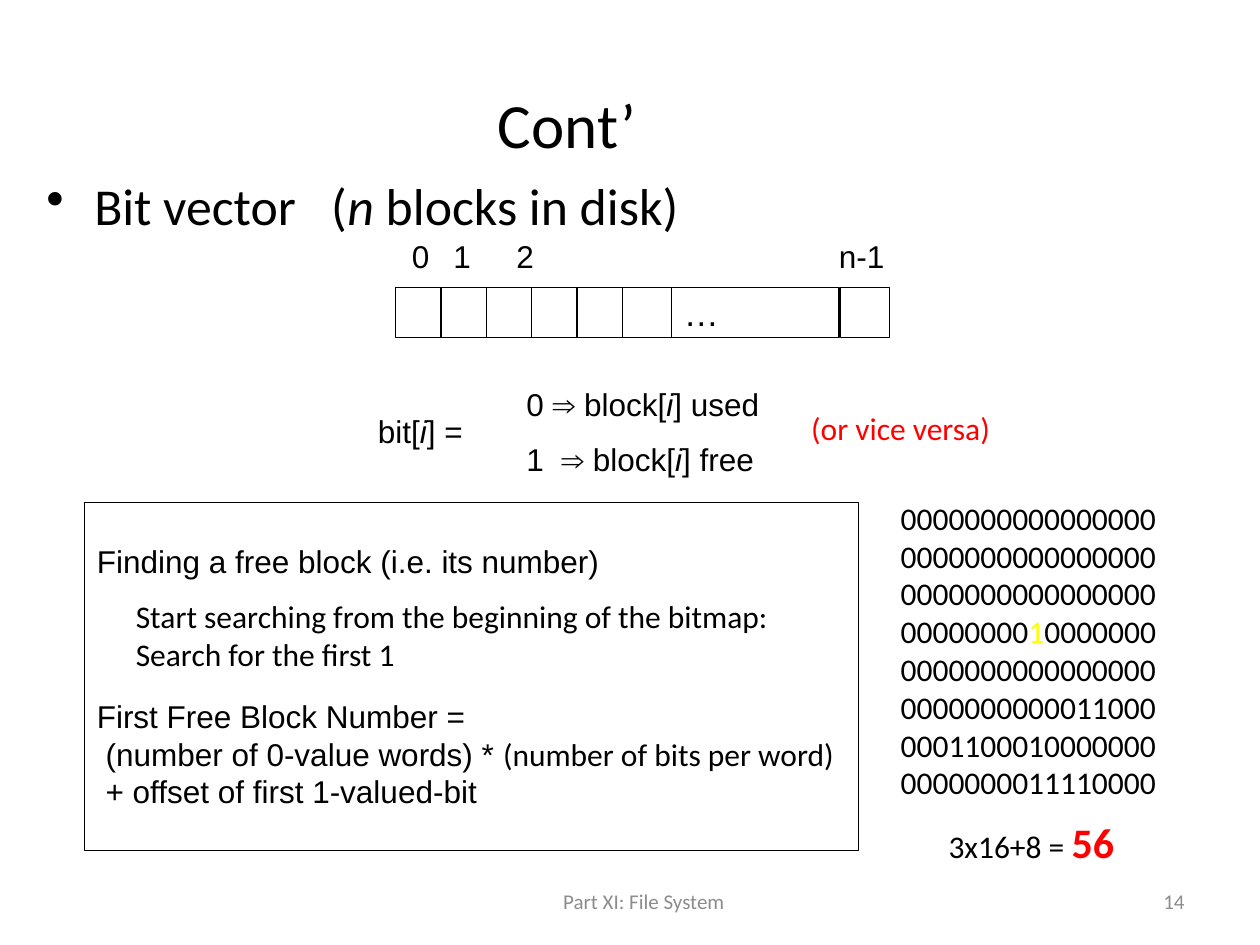
from lxml import etree
from pptx import Presentation
from pptx.dml.color import RGBColor
from pptx.enum.shapes import MSO_SHAPE
from pptx.enum.text import MSO_ANCHOR, MSO_AUTO_SIZE, PP_ALIGN
from pptx.oxml.ns import qn
from pptx.util import Inches, Pt

RECT = MSO_SHAPE.RECTANGLE
TOP, MID, LOW = MSO_ANCHOR.TOP, MSO_ANCHOR.MIDDLE, MSO_ANCHOR.BOTTOM
FIT = MSO_AUTO_SIZE.SHAPE_TO_FIT_TEXT
LEFT, MIDDLE, RIGHT = PP_ALIGN.LEFT, PP_ALIGN.CENTER, PP_ALIGN.RIGHT
COLORS = {"ink": "000000", "paper": "FFFFFF", "gray": "8C8C8C",
          "red": "FF0000", "mark": "FFFF00"}
ITAL = {"italic": True}
WORDS = ["0000000000000000"] * 3 + [
    ["00000000", ("1", {"color": "mark"}), "0000000"],
    "0000000000000000", "0000000000011000",
    "0001100010000000", "0000000011110000"]


def rgb(name):
    """Return the named colour."""
    return RGBColor.from_string(COLORS[name])


def style(font, name=None, size=None, color=None, bold=None, italic=None):
    """Set the given traits of a font."""
    if name:
        font.name = name
    if size:
        font.size = Pt(size)
    if color:
        font.color.rgb = rgb(color)
    if bold:
        font.bold = True
    if italic:
        font.italic = True


def write(frame, paras, name="Calibri", size=18, color="ink", align=LEFT,
          anchor=TOP, gap=0):
    """Fill a text frame; a paragraph is a string or a list of runs."""
    frame.vertical_anchor = anchor
    for i, runs in enumerate(paras):
        para = frame.paragraphs[0] if i == 0 else frame.add_paragraph()
        para.alignment = align
        para.space_before = Pt(gap if i else 0)
        style(para.font, name, size, color)
        for part in [runs] if isinstance(runs, str) else runs:
            text, look = (part, {}) if isinstance(part, str) else part
            run = para.add_run()
            run.text = text
            style(run.font, **look)


def label(slide, box, paras, wrap=False, **look):
    """Add a text box."""
    frame = slide.shapes.add_textbox(*map(Inches, box)).text_frame
    frame.word_wrap = wrap
    if not wrap:
        frame.auto_size = FIT
    write(frame, paras, **look)
    return frame


def block(slide, box, fill="paper", width=0.75):
    """Add an outlined rectangle."""
    shape = slide.shapes.add_shape(RECT, *map(Inches, box))
    shape.shadow.inherit = False
    if fill:
        shape.fill.solid()
        shape.fill.fore_color.rgb = rgb(fill)
    else:
        shape.fill.background()
    shape.line.color.rgb = rgb("ink")
    shape.line.width = Pt(width)
    return shape


def bullet(para):
    """Give a paragraph a hanging bullet."""
    props = para._p.get_or_add_pPr()
    props.set("marL", str(Inches(0.38)))
    props.set("indent", str(Inches(-0.38)))
    mark = etree.Element(qn("a:buChar"), char="•")
    props.find(qn("a:defRPr")).addprevious(mark)


def head(slide):
    """Place the title and the bullet line."""
    title = slide.shapes.title
    title.left, title.top, title.width, title.height = map(
        Inches, (0, 0.31, 9, 1.02))
    write(title.text_frame, ["Cont’"], size=36, align=MIDDLE, anchor=LOW)
    frame = label(slide, (0.27, 1.33, 9.26, 0.57),
                  [["Bit vector   (", ("n", ITAL), " blocks in disk)"]],
                  wrap=True, size=29.6)
    bullet(frame.paragraphs[0])


def vector(slide):
    """Draw the bit cells and their indexes."""
    for i in range(6):
        block(slide, (3.14 + 0.36 * i, 2.28, 0.39, 0.4))
    rest = block(slide, (5.33, 2.28, 1.33, 0.4))
    write(rest.text_frame, ["…"], name="Arial", size=20, anchor=MID)
    block(slide, (6.67, 2.28, 0.39, 0.4))
    for text, left, width in (("0", 3.17, 0.34), ("1", 3.5, 0.34),
                              ("2", 4, 0.34), ("n-1", 6.56, 0.56)):
        label(slide, (left, 1.83, width, 0.4), [text], name="Arial",
              anchor=MID)


def meaning(slide):
    """Explain the value of a bit."""
    label(slide, (2.9, 3.22, 0.88, 0.4), [["bit[", ("i", ITAL), "] ="]],
          name="Arial", anchor=MID)
    label(slide, (4.08, 3, 2.11, 0.85),
          [["0 ⇒ block[", ("i", ITAL), "] used"],
           ["1  ⇒ block[", ("i", ITAL), "] free"]],
          name="Arial", anchor=MID, gap=10)
    label(slide, (6.34, 3.2, 1.64, 0.41), ["(or vice versa)"], color="red")


def search(slide):
    """Describe the search for a free block."""
    label(slide, (0.67, 4.25, 7.69, 0.49),
          ["Finding a free block (i.e. its number)"], wrap=True, name="Arial")
    label(slide, (0.67, 5.48, 6.28, 1),
          ["First Free Block Number =",
           [" (number of 0-value words) * ",
            ("(number of bits per word)", {"name": "Calibri"})],
           " + offset of first 1-valued-bit"], name="Arial", anchor=MID)
    label(slide, (0.98, 4.69, 5.67, 0.7),
          ["Start searching from the beginning of the bitmap:",
           "Search for the first 1"])
    block(slide, (0.67, 3.99, 6.14, 2.76), fill=None, width=0.25)


def sample(slide):
    """Show the example bitmap and its result."""
    label(slide, (7.05, 3.91, 2.42, 2.5), WORDS)
    label(slide, (7.43, 6.43, 1.53, 0.51),
          [["3x16+8 = ", ("56", {"size": 24, "color": "red", "bold": True})]])


def foot(slide):
    """Add the footer and the slide number."""
    for text, left, width, align in (
            ("Part XI: File System", 3.42, 3.38, MIDDLE),
            ("14", 7.17, 2.33, RIGHT)):
        label(slide, (left, 6.95, width, 0.4), [text], wrap=True, size=12,
              color="gray", align=align, anchor=MID)


def main():
    """Build and save the slide."""
    deck = Presentation()
    deck.slide_width, deck.slide_height = Inches(10), Inches(7.5)
    slide = deck.slides.add_slide(deck.slide_layouts[5])
    for part in (head, vector, meaning, search, sample, foot):
        part(slide)
    deck.save("out.pptx")


if __name__ == "__main__":
    main()
